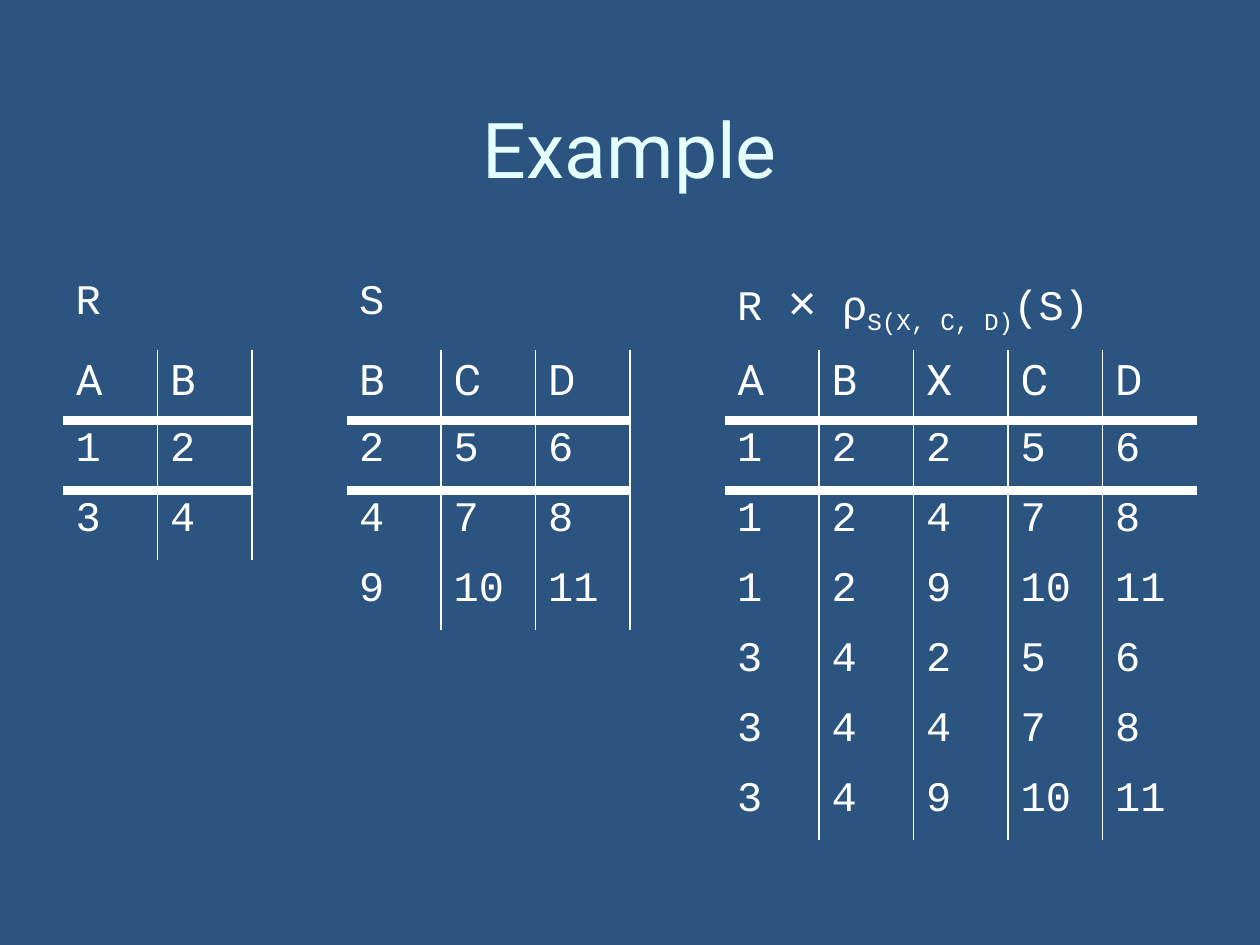
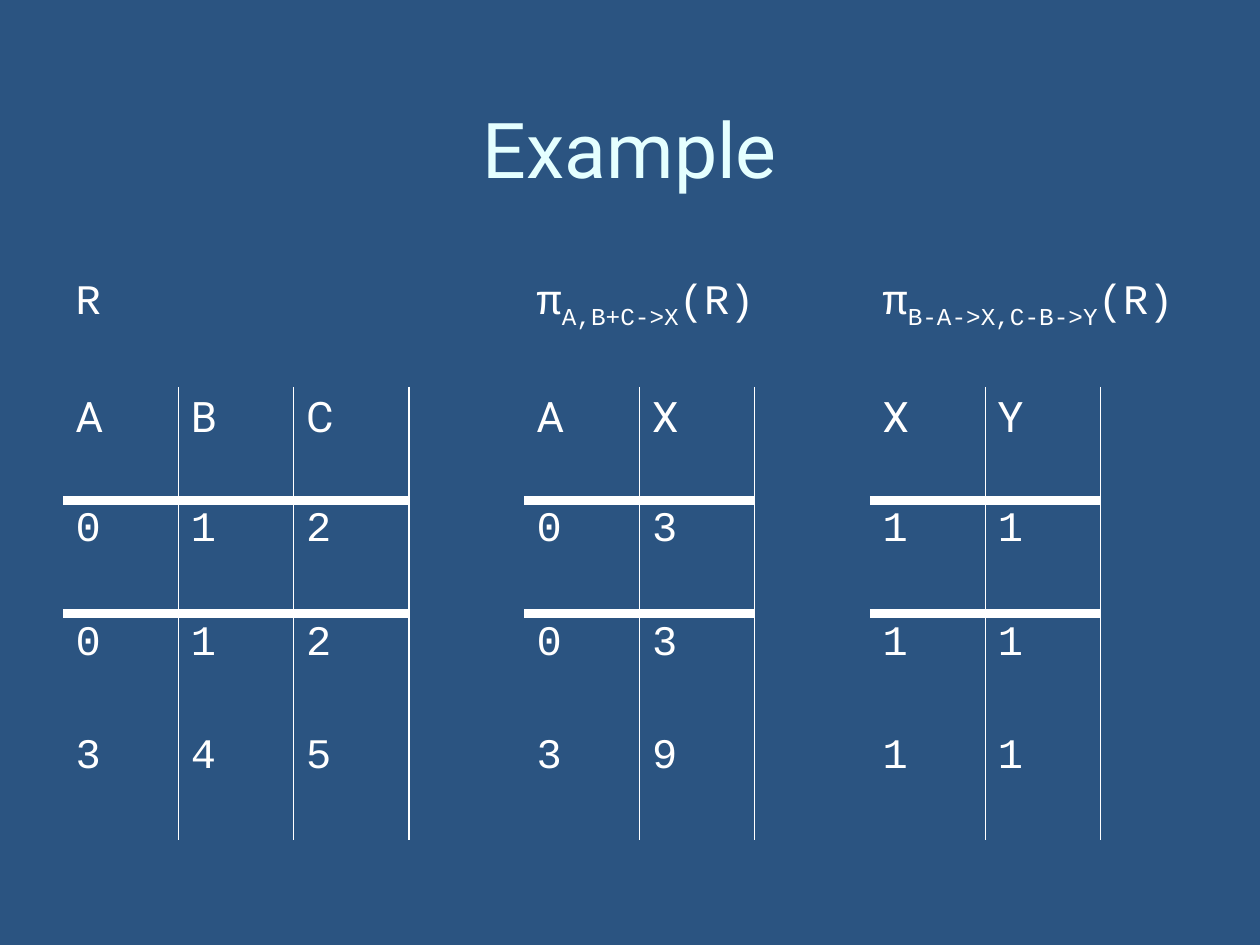
from pptx import Presentation
from pptx.dml.color import RGBColor
from pptx.enum.text import MSO_ANCHOR, PP_ALIGN
from pptx.oxml.ns import qn
from pptx.util import Pt
from lxml import etree

MIDDLE, CENTER = MSO_ANCHOR.MIDDLE, PP_ALIGN.CENTER
HEX = {"back": "2B5481", "title": "E5FFFF", "ink": "FFFFFF"}
SANS, MONO = "Roboto", "Courier New"
PLAIN = "{2D5ABB26-0587-4C30-8999-92F81FD0307C}"
LEFT, TOP = 36, 156.24
BODY, LARGE = 24, 28
THIN, THICK = 1, 6

LEFTS = [(1, 2), (3, 4)]
RIGHTS = [(2, 5, 6), (4, 7, 8), (9, 10, 11)]

SLIDES = [
    {
        "title": "Example", "cols": 12, "rows": 8, "wide": 54, "high": 40,
        "parts": [
            {"at": 0, "span": 1, "name": [("R", BODY, 0)],
             "head": "AB", "data": LEFTS},
            {"at": 3, "span": 1, "name": [("S", BODY, 0)],
             "head": "BCD", "data": RIGHTS},
            {"at": 7, "span": 5,
             "name": [("R ", BODY, 0), ("×", LARGE, 0), (" ρ", BODY, 0),
                      ("S(X, C, D)", BODY, -25), ("(S)", BODY, 0)],
             "head": "ABXCD", "data": [a + b for a in LEFTS for b in RIGHTS]},
        ],
    },
    {
        "title": "Example", "cols": 10, "rows": 5, "wide": 65.88, "high": 64.8,
        "parts": [
            {"at": 0, "span": 1, "name": [("R", BODY, 0)],
             "head": "ABC", "data": [(0, 1, 2), (0, 1, 2), (3, 4, 5)]},
            {"at": 4, "span": 3,
             "name": [("π", BODY, 0), ("A,B+C->X", BODY, -25),
                      ("(R)", BODY, 0)],
             "head": "AX", "data": [(0, 3), (0, 3), (3, 9)]},
            {"at": 7, "span": 3,
             "name": [("π", BODY, 0), ("B-A->X,C-B->Y", BODY, -25),
                      ("(R)", BODY, 0)],
             "head": "XY", "data": [(1, 1)] * 3},
        ],
    },
]


def write(par, text, size, face, hue="ink", base=0):
    run = par.add_run()
    run.text = text
    font = run.font
    font.size = Pt(size)
    font.name = face
    font.color.rgb = RGBColor.from_string(HEX[hue])
    if base:
        font._element.set("baseline", str(base * 1000))


def rule(cell, sides):
    props = cell._tc.get_or_add_tcPr()
    for side in "LRTB":
        if side in sides:
            line = etree.SubElement(props, qn("a:ln" + side), w=str(Pt(sides[side])))
            fill = etree.SubElement(line, qn("a:solidFill"))
            etree.SubElement(fill, qn("a:srgbClr"), val=HEX["ink"])


def add_title(slide, text):
    box = slide.shapes.add_textbox(Pt(LEFT), Pt(30.24), Pt(648), Pt(108))
    frame = box.text_frame
    frame.word_wrap = True
    frame.vertical_anchor = MIDDLE
    par = frame.paragraphs[0]
    par.alignment = CENTER
    write(par, text, 44, SANS, "title")


def fill_part(grid, part):
    at, span = part["at"], part["span"]
    top = grid.cell(0, at)
    if span > 1:
        top.merge(grid.cell(0, at + span - 1))
    for text, size, base in part["name"]:
        write(top.text_frame.paragraphs[0], text, size, MONO, base=base)
    last = len(part["head"]) - 1
    for r, row in enumerate([part["head"], *part["data"]]):
        for c, value in enumerate(row):
            cell = grid.cell(r + 1, at + c)
            face = MONO if r else SANS
            write(cell.text_frame.paragraphs[0], str(value), BODY, face)
            sides = {}
            if c > 0:
                sides["L"] = THIN
            if c < last:
                sides["R"] = THIN
            if r < 2:
                sides["T" if r else "B"] = THICK
            rule(cell, sides)


def add_grid(slide, plan):
    cols, rows, wide, high = (plan[k] for k in ("cols", "rows", "wide", "high"))
    frame = slide.shapes.add_table(rows, cols, Pt(LEFT), Pt(TOP),
                                   Pt(cols * wide), Pt(rows * high))
    grid = frame.table
    grid.first_row = grid.horz_banding = False
    grid._tbl.tblPr.find(qn("a:tableStyleId")).text = PLAIN
    for col in grid.columns:
        col.width = Pt(wide)
    for row in grid.rows:
        row.height = Pt(high)
    for part in plan["parts"]:
        fill_part(grid, part)
    for cell in grid.iter_cells():
        cell.fill.background()


def main():
    deck = Presentation()
    deck.slide_width, deck.slide_height = Pt(720), Pt(540)
    for plan in SLIDES:
        slide = deck.slides.add_slide(deck.slide_layouts[6])
        back = slide.background.fill
        back.solid()
        back.fore_color.rgb = RGBColor.from_string(HEX["back"])
        add_title(slide, plan["title"])
        add_grid(slide, plan)
    deck.save("out.pptx")


if __name__ == "__main__":
    main()
